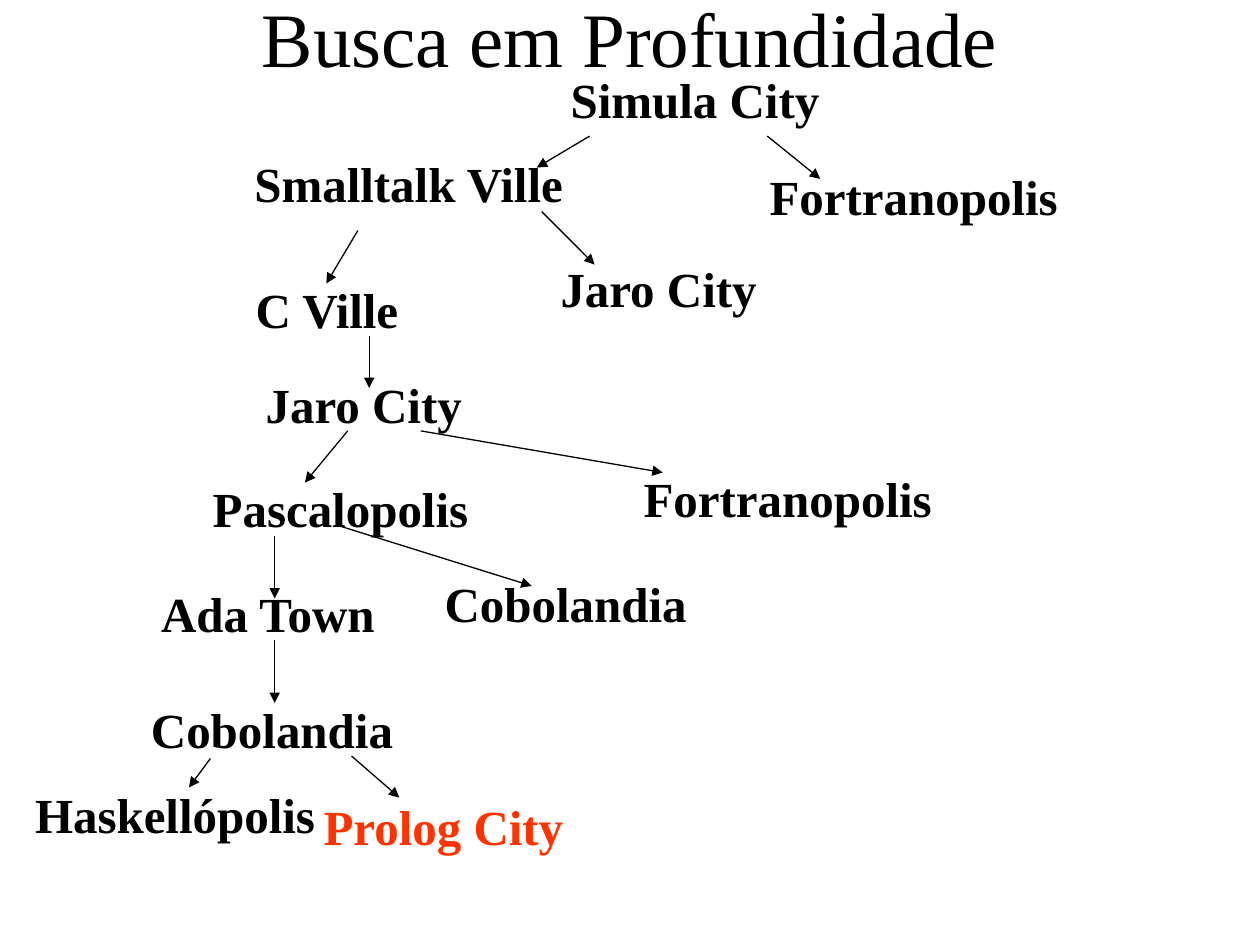
"""Build the depth-first search tree slide."""
from dataclasses import dataclass

from lxml import etree
from pptx import Presentation
from pptx.dml.color import RGBColor
from pptx.enum import shapes, text
from pptx.oxml import ns
from pptx.util import Inches, Pt


@dataclass(frozen=True)
class Theme:
    font: str = "Times New Roman"
    ink: str = "000000"
    goal: str = "FF3300"
    title_size: float = 44
    node_size: float = 28
    line_width: float = 0.75


theme = Theme()


def write(tf, content, frame, font, color, align):
    for name, value in frame.items():
        setattr(tf, name, value)
    p = tf.paragraphs[0]
    p.alignment = align
    r = p.add_run()
    r.text = content
    for name, value in font.items():
        setattr(r.font, name, value)
    r.font.color.rgb = RGBColor.from_string(color)


def add_arrow(parent, start, end):
    c = parent.add_connector(shapes.MSO_CONNECTOR.STRAIGHT, *map(Inches, start + end))
    c.line.width = Pt(theme.line_width)
    c.line.color.rgb = RGBColor.from_string(theme.ink)
    etree.SubElement(c.line._get_or_add_ln(), ns.qn("a:tailEnd"), type="triangle")
    etree.SubElement(c._element.spPr, ns.qn("a:effectLst"))


prs = Presentation()
prs.slide_width, prs.slide_height = Inches(10), Inches(7.5)
s = prs.slides.add_slide(prs.slide_layouts[5])

sp = s.shapes.title
box = {"left": 0.75, "top": -0.33, "width": 8.5, "height": 1.25}
for name, value in box.items():
    setattr(sp, name, Inches(value))
write(
    sp.text_frame,
    "Busca em Profundidade",
    {"vertical_anchor": text.MSO_ANCHOR.MIDDLE, "word_wrap": True},
    {"name": theme.font, "size": Pt(theme.title_size), "bold": False},
    theme.ink,
    text.PP_ALIGN.CENTER,
)

node_height = 0.57
slack = 0.04
node_frame = {
    "word_wrap": False,
    "auto_size": text.MSO_AUTO_SIZE.SHAPE_TO_FIT_TEXT,
    "vertical_anchor": text.MSO_ANCHOR.TOP,
}
node_font = {"name": theme.font, "size": Pt(theme.node_size), "bold": True}

nodes = [
    ("Simula City", 4.43, 0.5, 2.17, None),
    ("Smalltalk Ville", 1.92, 1.17, 2.67, ((4.68, 1.08), (4.26, 1.33))),
    ("Fortranopolis", 6.01, 1.27, 2.48, ((6.09, 1.08), (6.51, 1.42))),
    ("Pascalopolis", 1.59, 3.75, 2.23, ((2.76, 3.42), (2.42, 3.83))),
    ("Haskellópolis", 0.18, 6.18, 2.42, ((1.67, 6.02), (1.5, 6.25))),
    ("Prolog City", 2.47, 6.27, 2.11, ((2.79, 6), (3.17, 6.33))),
    ("Ada Town", 1.18, 4.58, 1.94, ((2.18, 4.25), (2.18, 4.75))),
    ("Jaro City", 4.35, 2, 1.78, ((4.3, 1.68), (4.72, 2.1))),
    ("C Ville", 1.93, 2.17, 1.35, ((2.84, 1.83), (2.59, 2.25))),
    ("Jaro City", 2.01, 2.92, 1.78, ((2.93, 2.67), (2.93, 3.08))),
    ("Cobolandia", 1.1, 5.5, 2.12, ((2.18, 5.08), (2.18, 5.58))),
    ("Cobolandia", 3.43, 4.5, 2.12, ((2.68, 4.17), (4.22, 4.65))),
    ("Fortranopolis", 5.01, 3.67, 2.48, ((3.34, 3.42), (5.26, 3.75))),
]

for city, left, top, width, arrow in nodes:
    parent = s.shapes
    if arrow:
        parent = s.shapes.add_group_shape().shapes
        add_arrow(parent, *arrow)
    sp = parent.add_textbox(*map(Inches, (left, top, width + slack, node_height)))
    color = theme.goal if city == "Prolog City" else theme.ink
    write(sp.text_frame, city, node_frame, node_font, color, text.PP_ALIGN.LEFT)

prs.save("out.pptx")
